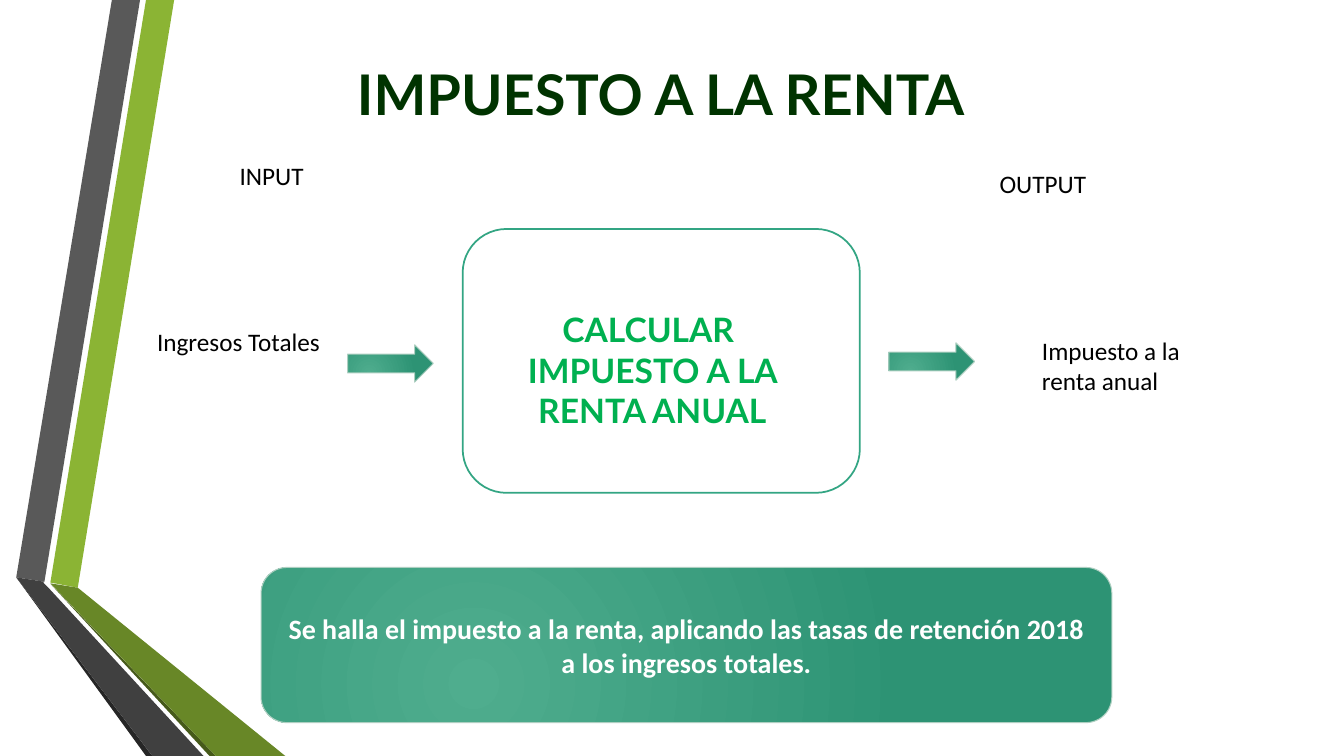
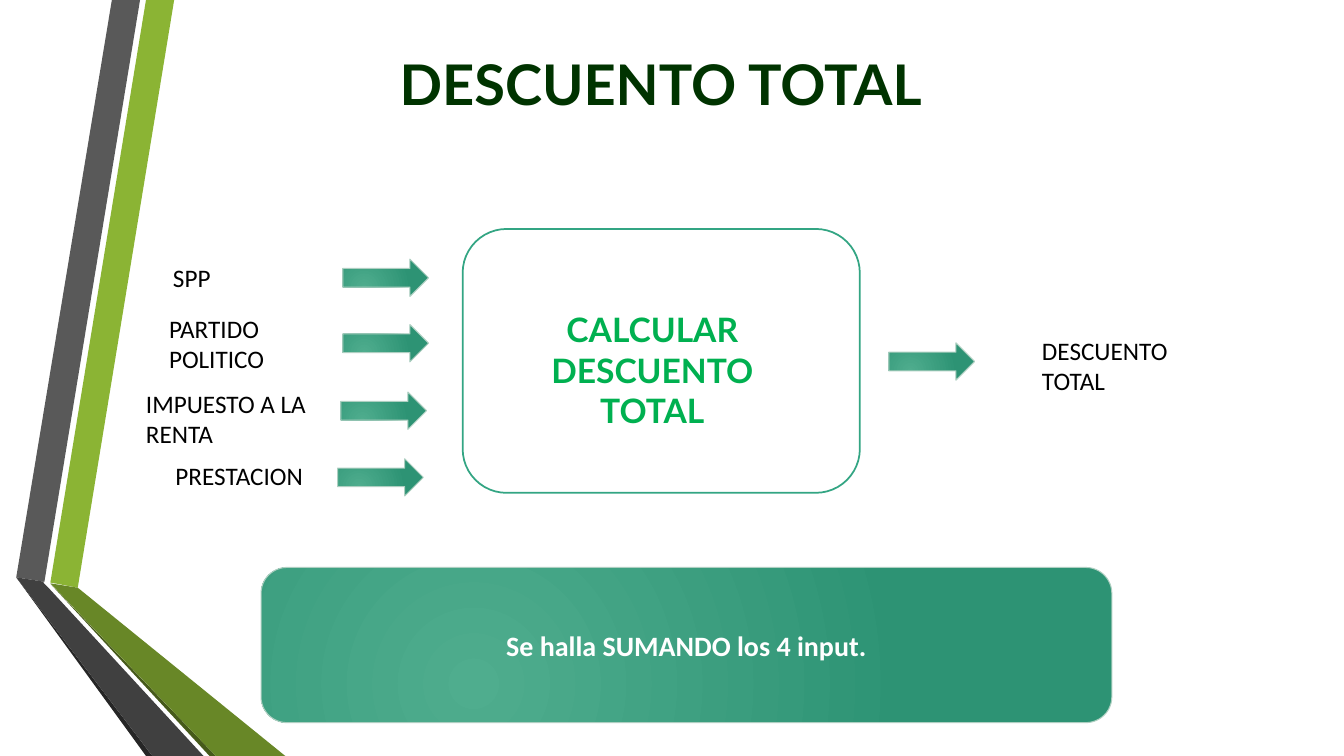
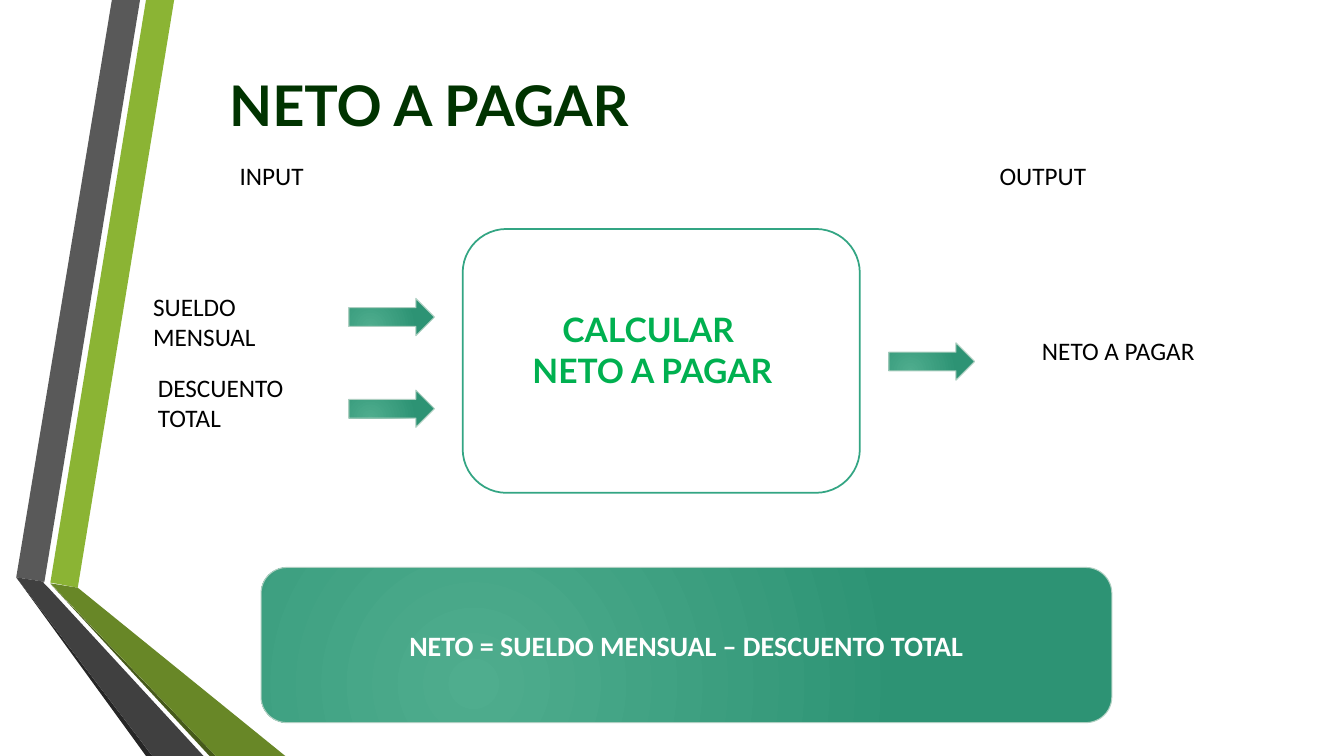
from lxml import etree
from pptx import Presentation, util as u
from pptx.dml.color import RGBColor
from pptx.enum import shapes, text
from pptx.oxml.ns import qn

# All lengths are in centimetres.
WIDTH, HEIGHT = 33.87, 19.05
GRADIENT = ("4FAD8E", "2D9374")
PALE, TEAL, GREEN, DARK_GREEN = "AECFC1", "33A583", "00B050", "003300"
WHITE, BLACK = "FFFFFF", "000000"
ARROW = (2.16, 0.94)
INPUT_W, OUTPUT_W, HEADER_W, TITLE_W = 4.8, 4.45, 4.67, 21.6

RIBBONS = [
    ("8BB434", [(1.27, 14.68), (1.96, 14.81), (4.39, 0), (3.68, 0)]),
    ("595959", [(3.53, 0), (2.82, 0), (0.41, 14.55), (1.12, 14.66)]),
    ("262626", [(0.41, 14.55), (3.68, HEIGHT), (3.84, HEIGHT)]),
    ("465A1A", [(1.27, 14.71), (5.28, HEIGHT), (5.44, HEIGHT)]),
    ("688727", [(1.27, 14.7), (5.44, HEIGHT), (7.19, HEIGHT), (1.96, 14.81)]),
    ("404040", [(5.13, HEIGHT), (1.22, 14.81), (1.09, 14.68), (1.12, 14.66),
                (0.41, 14.55), (3.84, HEIGHT)]),
]

# title: text, centre x, top; headers: text, left, top
# inputs: text, label left and top, arrow left and top
SLIDES = [
    dict(title=("IMPUESTO A LA RENTA", 16.65, 1.37),
         headers=[("INPUT", 5.79, 3.91), ("OUTPUT", 24.94, 4.11)],
         inputs=[("Ingresos Totales", 3.71, 8.1, 8.76, 8.69)],
         process="CALCULAR \nIMPUESTO A LA RENTA ANUAL",
         output="Impuesto a la renta anual",
         note="Se halla el impuesto a la renta, aplicando las tasas de "
              "retención 2018 a los ingresos totales."),
    dict(title=("DESCUENTO TOTAL", 16.65, 1.12),
         headers=[],
         inputs=[("SPP", 4.11, 6.48, 8.64, 6.53),
                 ("PARTIDO POLITICO", 4.01, 7.77, 8.64, 8.18),
                 ("IMPUESTO A LA RENTA", 3.43, 9.65, 8.59, 9.88),
                 ("PRESTACION", 4.17, 11.48, 8.51, 11.56)],
         process="CALCULAR DESCUENTO TOTAL",
         output="DESCUENTO TOTAL",
         note="Se halla SUMANDO los 4 input."),
    dict(title=("NETO A PAGAR", 10.81, 1.65),
         headers=[("INPUT", 5.79, 3.91), ("OUTPUT", 24.94, 3.91)],
         inputs=[("SUELDO MENSUAL", 3.61, 7.21, 8.79, 7.52),
                 ("DESCUENTO TOTAL", 3.73, 9.25, 8.79, 9.83)],
         process="CALCULAR \nNETO A PAGAR",
         output="NETO A PAGAR",
         note="NETO = SUELDO MENSUAL – DESCUENTO TOTAL"),
]


def rgb(value):
    return RGBColor.from_string(value)


def write(sp, content, size=18, font="Calibri", color=BLACK, bold=False, center=False):
    """Fill a shape with text, one paragraph per line."""
    tf = sp.text_frame
    tf.word_wrap = True
    for i, line in enumerate(content.split("\n")):
        p = tf.add_paragraph() if i else tf.paragraphs[0]
        p.alignment = text.PP_ALIGN.CENTER if center else text.PP_ALIGN.LEFT
        r = p.add_run()
        r.text = line
        r.font.size, r.font.name, r.font.bold = u.Pt(size), font, bold
        r.font.color.rgb = rgb(color)


def add_text(s, content, x, y, w, h=1.02, **fmt):
    write(s.shapes.add_textbox(u.Cm(x), u.Cm(y), u.Cm(w), u.Cm(h)), content, **fmt)


def add_shape(s, kind, x, y, w, h, line, width):
    sp = s.shapes.add_shape(kind, u.Cm(x), u.Cm(y), u.Cm(w), u.Cm(h))
    sp.shadow.inherit = False
    sp.line.color.rgb, sp.line.width = rgb(line), u.Pt(width)
    return sp


def add_glossy(s, kind, x, y, w, h):
    """Add a shape with the green radial gradient."""
    sp = add_shape(s, kind, x, y, w, h, PALE, 0.75)
    sp.fill.gradient()
    for stop, color in zip(sp.fill.gradient_stops, GRADIENT):
        stop.color.rgb = rgb(color)
    lin = next(sp.element.iter(qn("a:lin")))
    radial = etree.Element(qn("a:path"), path="circle")
    etree.SubElement(radial, qn("a:fillToRect"),
                     l="50000", t="100000", r="100000", b="50000")
    lin.getparent().replace(lin, radial)
    return sp


def add_arrow(s, x, y):
    add_glossy(s, shapes.MSO_SHAPE.RIGHT_ARROW, x, y, *ARROW)


def add_ribbons(s):
    for color, points in RIBBONS:
        start, *rest = [(u.Cm(x), u.Cm(y)) for x, y in points]
        builder = s.shapes.build_freeform(*start)
        builder.add_line_segments(rest, close=True)
        sp = builder.convert_to_shape()
        sp.shadow.inherit = False
        sp.fill.solid()
        sp.fill.fore_color.rgb = rgb(color)
        sp.line.fill.background()


def add_slide(prs, data):
    s = prs.slides.add_slide(prs.slide_layouts[6])
    add_ribbons(s)
    rounded = shapes.MSO_SHAPE.ROUNDED_RECTANGLE

    box = add_shape(s, rounded, 11.66, 5.77, 10.01, 6.65, TEAL, 1.25)
    box.fill.solid()
    box.fill.fore_color.rgb = rgb(WHITE)
    add_text(s, data["process"], 12.4, 7.67, 8.08, 3.33,
             size=24, font="Lato", color=GREEN, bold=True, center=True)

    for label, x, y, arrow_x, arrow_y in data["inputs"]:
        add_arrow(s, arrow_x, arrow_y)
        add_text(s, label, x, y, INPUT_W)
    add_arrow(s, 22.4, 8.64)
    add_text(s, data["output"], 26.01, 8.33, OUTPUT_W, 1.8)

    note = add_glossy(s, rounded, 6.58, 14.3, 21.44, 3.91)
    note.text_frame.vertical_anchor = text.MSO_ANCHOR.MIDDLE
    write(note, data["note"], size=20, color=WHITE, bold=True, center=True)

    title, center_x, top = data["title"]
    add_text(s, title, center_x - TITLE_W / 2, top, TITLE_W, 1.96,
             size=40, font="Lato", color=DARK_GREEN, bold=True, center=True)
    for header, x, y in data["headers"]:
        add_text(s, header, x, y, HEADER_W)


def main():
    prs = Presentation()
    prs.slide_width, prs.slide_height = u.Cm(WIDTH), u.Cm(HEIGHT)
    for data in SLIDES:
        add_slide(prs, data)
    prs.save("out.pptx")


if __name__ == "__main__":
    main()
